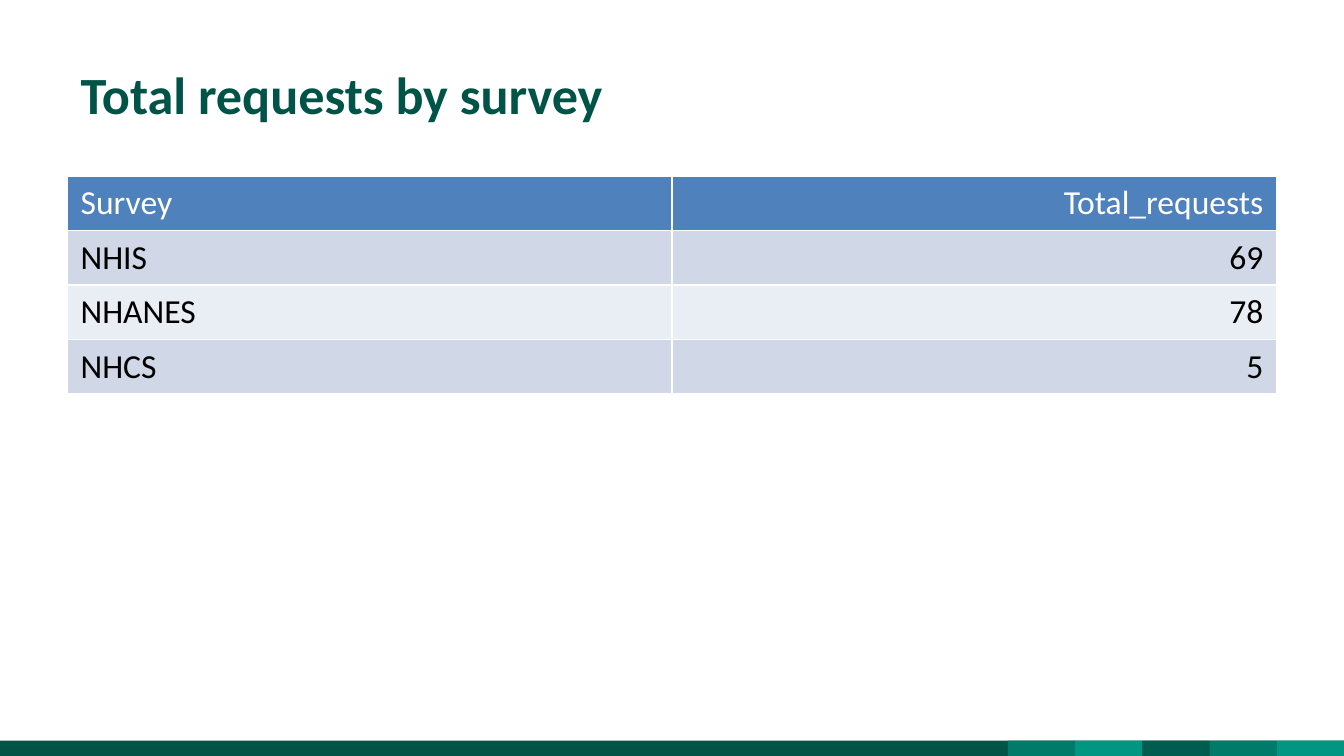
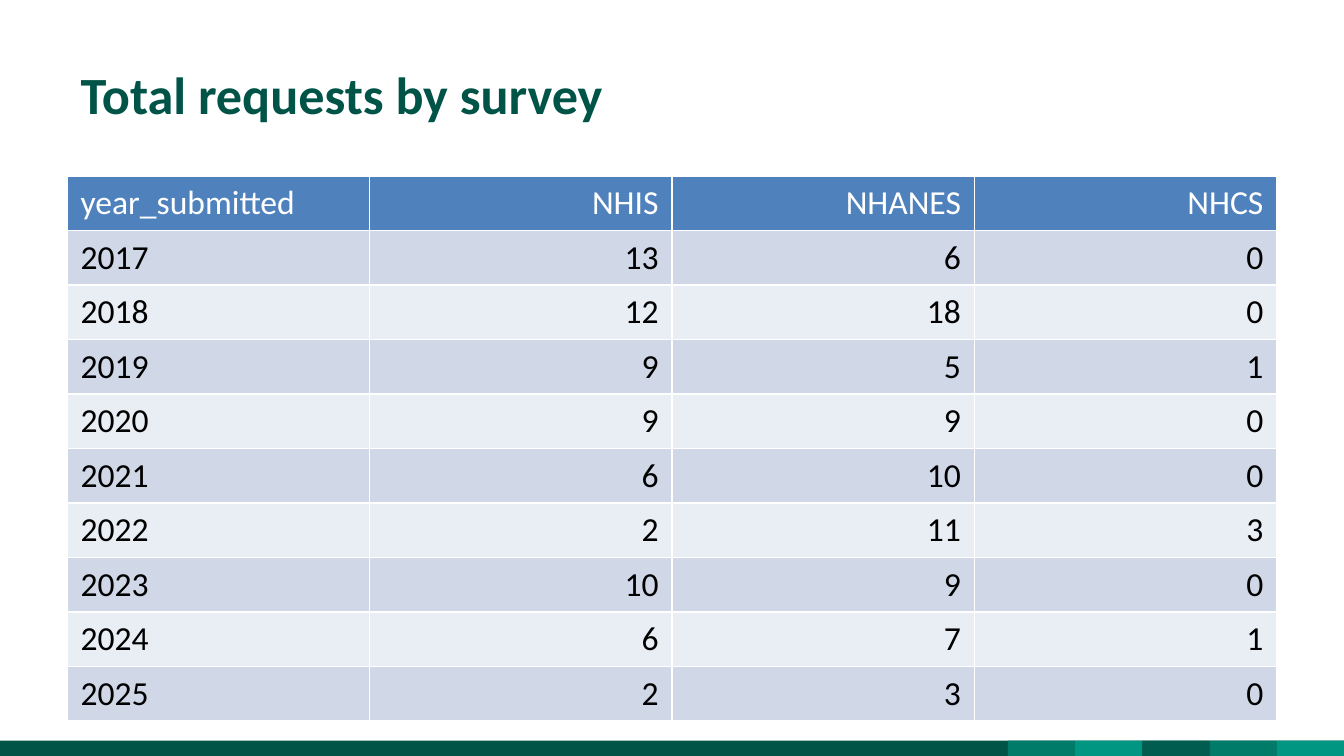
from collections import namedtuple

from lxml.etree import SubElement
from pptx import Presentation
from pptx.dml.color import RGBColor
from pptx.enum.shapes import MSO_SHAPE as Preset
from pptx.enum.text import MSO_ANCHOR as Anchor, PP_ALIGN as Align
from pptx.oxml.ns import qn
from pptx.util import Cm, Pt

Box = namedtuple("Box", "left top width height")

COLORS = {
    "dark": "005447",
    "deep": "005C4F",
    "middle": "007A69",
    "bright": "009681",
    "header": "4F81BD",
    "odd_row": "D0D8E8",
    "even_row": "E9EDF4",
    "white": "FFFFFF",
    "black": "000000",
}
FONT = "Calibri"
TITLE_ONLY = 5

# Regions shared by both slides, in centimetres
SLIDE_WIDTH, SLIDE_HEIGHT = 25.4, 14.29
TITLE_BOX = Box(1.27, 0.58, 22.86, 2.39)
TABLE_BOX = Box(1.27, 3.33, 22.86, 9.42)
FOOTER_BOX = Box(0, 14, SLIDE_WIDTH, 0.29)
ROW_HEIGHT = 1.03
TILE_WIDTH = 1.27
TILE_COLORS = ["middle", "bright", "deep", "middle", "bright"]

TITLE = "Total requests by survey"
SURVEY_TOTALS = [
    ["Survey", "Total_requests"],
    ["NHIS", 69],
    ["NHANES", 78],
    ["NHCS", 5],
]
YEARLY_REQUESTS = [
    ["year_submitted", "NHIS", "NHANES", "NHCS"],
    [2017, 13, 6, 0],
    [2018, 12, 18, 0],
    [2019, 9, 5, 1],
    [2020, 9, 9, 0],
    [2021, 6, 10, 0],
    [2022, 2, 11, 3],
    [2023, 10, 9, 0],
    [2024, 6, 7, 1],
    [2025, 2, 3, 0],
]


def color(name):
    return RGBColor.from_string(COLORS[name])


def set_font(para, size, color_name, bold=False):
    para.font.name = FONT
    para.font.size = Pt(size)
    para.font.bold = bold
    para.font.color.rgb = color(color_name)


def add_footer(page, box):
    """Dark band with a row of tiles against its right end."""
    group = page.shapes.add_group_shape()
    tiles_left = box.left + box.width - TILE_WIDTH * len(TILE_COLORS)
    bars = [(box.left, box.width, "dark")]
    bars += [(tiles_left + index * TILE_WIDTH, TILE_WIDTH, name)
             for index, name in enumerate(TILE_COLORS)]
    for left, width, name in bars:
        bar = group.shapes.add_shape(
            Preset.RECTANGLE, Cm(left), Cm(box.top), Cm(width), Cm(box.height))
        bar.shadow.inherit = False
        bar.fill.solid()
        bar.fill.fore_color.rgb = color(name)
        bar.line.fill.background()


def add_title(page, box, text):
    title = page.shapes.title
    title.left, title.top, title.width, title.height = map(Cm, box)
    frame = title.text_frame
    frame.text = text
    frame.word_wrap = True
    frame.vertical_anchor = Anchor.MIDDLE
    para = frame.paragraphs[0]
    para.alignment = Align.LEFT
    set_font(para, 28, "dark", bold=True)


def add_borders(cell):
    properties = cell._tc.get_or_add_tcPr()
    for side in ("lnL", "lnR", "lnT", "lnB"):
        line = SubElement(properties, qn(f"a:{side}"), w=str(Pt(1)))
        fill = SubElement(line, qn("a:solidFill"))
        SubElement(fill, qn("a:srgbClr"), val=COLORS["white"])


def add_data_table(page, box, rows):
    """Equal columns; the first reads left, the numbers align right."""
    column_count = len(rows[0])
    table = page.shapes.add_table(
        len(rows), column_count, Cm(box.left), Cm(box.top),
        Cm(box.width), Cm(ROW_HEIGHT * len(rows))).table
    for column in table.columns:
        column.width = Cm(box.width / column_count)
    for row_index, values in enumerate(rows):
        table.rows[row_index].height = Cm(ROW_HEIGHT)
        is_header = row_index == 0
        band = "header" if is_header else "odd_row" if row_index % 2 else "even_row"
        for column_index, value in enumerate(values):
            cell = table.cell(row_index, column_index)
            add_borders(cell)
            cell.fill.solid()
            cell.fill.fore_color.rgb = color(band)
            cell.text = str(value)
            para = cell.text_frame.paragraphs[0]
            para.alignment = Align.RIGHT if column_index else Align.LEFT
            set_font(para, 18, "white" if is_header else "black")


def add_table_slide(deck, rows):
    page = deck.slides.add_slide(deck.slide_layouts[TITLE_ONLY])
    page.background.fill.solid()
    page.background.fill.fore_color.rgb = color("white")
    add_footer(page, FOOTER_BOX)
    add_title(page, TITLE_BOX, TITLE)
    add_data_table(page, TABLE_BOX, rows)


def main():
    deck = Presentation()
    deck.slide_width, deck.slide_height = Cm(SLIDE_WIDTH), Cm(SLIDE_HEIGHT)
    for rows in (SURVEY_TOTALS, YEARLY_REQUESTS):
        add_table_slide(deck, rows)
    deck.save("out.pptx")


if __name__ == "__main__":
    main()
